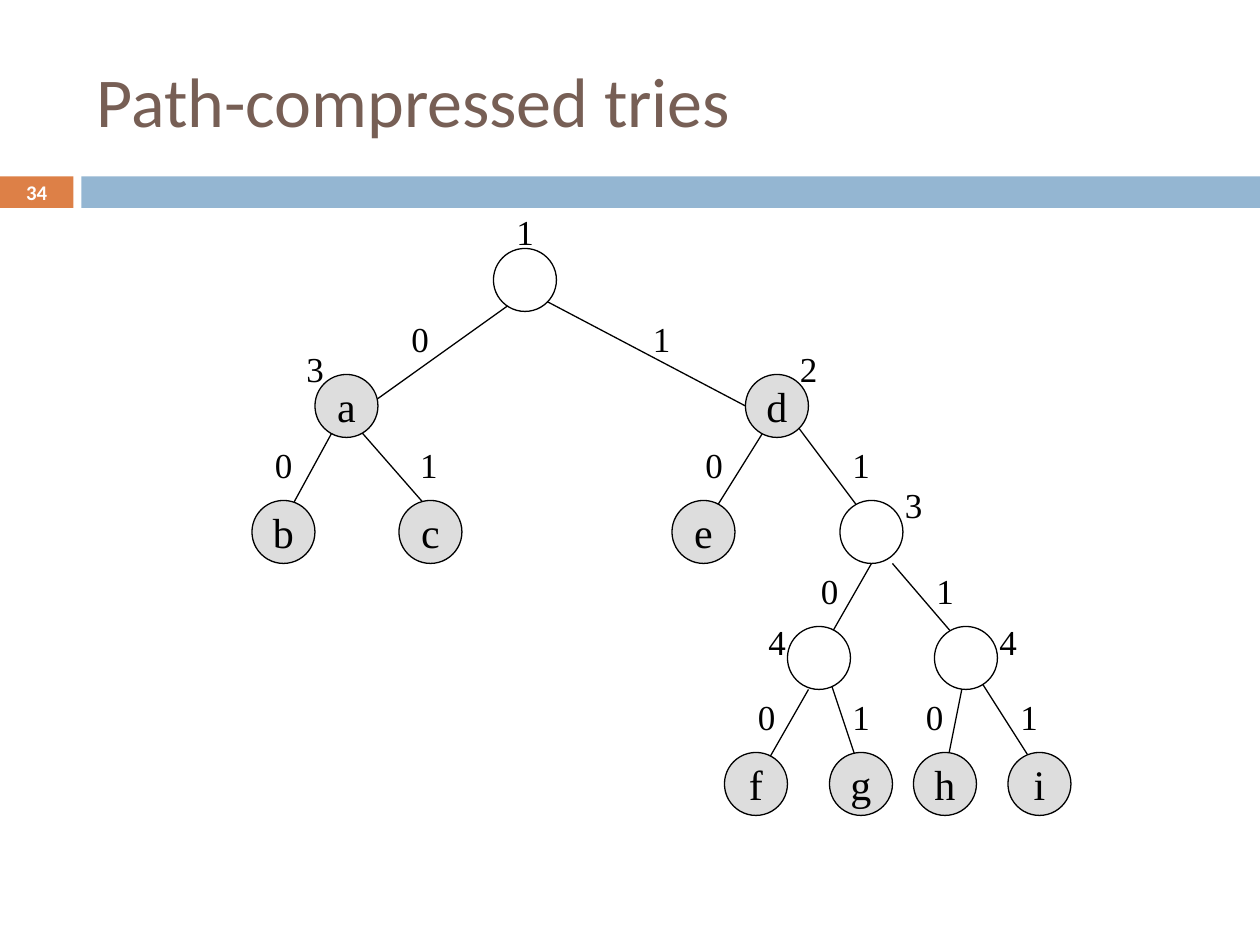
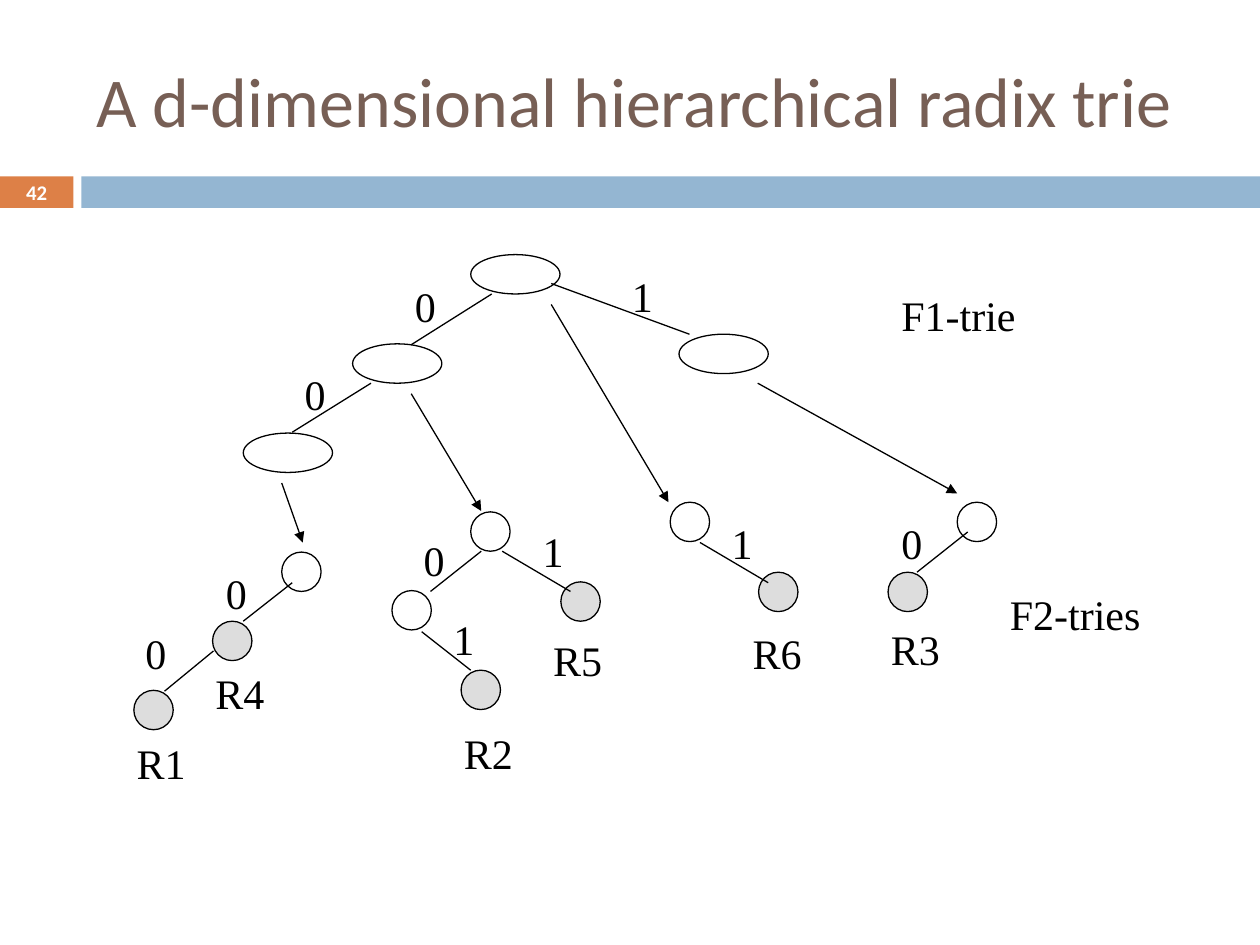
from pptx import Presentation
from pptx.dml.color import RGBColor
from pptx.enum.shapes import MSO_CONNECTOR, MSO_SHAPE
from pptx.enum.text import MSO_ANCHOR, PP_ALIGN
from pptx.oxml.ns import qn
from pptx.util import Pt
from lxml import etree

OVAL, RECT = MSO_SHAPE.OVAL, MSO_SHAPE.RECTANGLE
LINE = MSO_CONNECTOR.STRAIGHT
MID, TOP = MSO_ANCHOR.MIDDLE, MSO_ANCHOR.TOP
LEFT, MIDST = PP_ALIGN.LEFT, PP_ALIGN.CENTER
SANS, SERIF = "Calibri", "Times New Roman"
HUES = {"ink": "000000", "white": "FFFFFF", "grey": "DDDDDD",
        "brown": "775F55", "orange": "DD8047", "blue": "94B6D2"}
SIDE = 36
DOT = 22.5


def hue(name):
    return RGBColor.from_string(HUES[name])


def place(shape, left, top, width, height):
    shape.left, shape.top = Pt(left), Pt(top)
    shape.width, shape.height = Pt(width), Pt(height)


def write(shape, text, size=24, font=SERIF, color="ink", bold=False,
          align=LEFT, anchor=TOP, wrap=True, inset=None):
    frame = shape.text_frame
    frame.word_wrap = wrap
    frame.vertical_anchor = anchor
    if inset is not None:
        frame.margin_left = frame.margin_right = Pt(inset)
        frame.margin_top = frame.margin_bottom = Pt(inset)
    para = frame.paragraphs[0]
    para.alignment = align
    run = para.add_run()
    run.text = text
    run.font.size, run.font.name, run.font.bold = Pt(size), font, bold
    run.font.color.rgb = hue(color)


def label(slide, text, left, top, width, height, **style):
    box = slide.shapes.add_textbox(Pt(left), Pt(top), Pt(width), Pt(height))
    write(box, text, **style)


def form(slide, kind, left, top, width, height, fill=None, edge=None):
    shape = slide.shapes.add_shape(
        kind, Pt(left), Pt(top), Pt(width), Pt(height))
    shape.shadow.inherit = False
    if fill:
        shape.fill.solid()
        shape.fill.fore_color.rgb = hue(fill)
    else:
        shape.fill.background()
    if edge:
        shape.line.color.rgb = hue(edge)
        shape.line.width = Pt(0.75)
    else:
        shape.line.fill.background()
    return shape


def link(slide, x1, y1, x2, y2, arrow=False):
    line = slide.shapes.add_connector(LINE, Pt(x1), Pt(y1), Pt(x2), Pt(y2))
    line.line.color.rgb = hue("ink")
    line.line.width = Pt(0.75)
    props = line._element.spPr
    if arrow:
        etree.SubElement(props.find(qn("a:ln")), qn("a:tailEnd"),
                         type="triangle")
    etree.SubElement(props, qn("a:effectLst"))


def start(deck, title, number):
    slide = deck.slides.add_slide(deck.slide_layouts[5])
    head = slide.shapes.title
    place(head, 48, 18, 642, 78)
    write(head, title, size=40, font=SANS, color="brown", anchor=MID)
    form(slide, RECT, 0, 100.8, 42, 18, fill="orange")
    form(slide, RECT, 46.5, 100.8, 673.5, 18, fill="blue")
    label(slide, number, 0, 100, 42, 19.5, size=11.9, font=SANS,
          color="white", bold=True, align=MIDST, anchor=MID, inset=0)
    return slide


def paths(deck):
    slide = start(deck, "Path-compressed tries", "34")
    edges = [
        (198, 232, 162, 298), (204, 244, 246, 292), (552, 376, 594, 442),
        (552, 382, 540, 442), (474, 388, 492, 442), (462, 394, 438, 436),
        (510, 322, 546, 364), (498, 322, 474, 364), (456, 244, 492, 292),
        (438, 244, 408, 292), (312, 172, 426, 232), (294, 172, 210, 232)]
    for edge in edges:
        link(slide, *edge)

    levels = [
        [("", 282)],
        [("a", 180), ("d", 426)],
        [("b", 144), ("c", 228), ("e", 384), ("", 480)],
        [("", 450), ("", 534)],
        [("f", 414), ("g", 474), ("h", 522), ("i", 576)]]
    for depth, nodes in enumerate(levels):
        for name, left in nodes:
            node = form(slide, OVAL, left, 142 + 72 * depth, SIDE, SIDE,
                        fill="grey" if name else "white", edge="ink")
            if name:
                write(node, name, align=MIDST, anchor=MID, wrap=False)

    bits = [
        (178, [("0", 228), ("1", 366)]),
        (250, [("0", 150), ("1", 233), ("0", 396), ("1", 480)]),
        (322, [("0", 462), ("1", 528)]),
        (394, [("0", 426), ("1", 480), ("0", 522), ("1", 576)])]
    skips = [
        (117, [("1", 288)]),
        (195, [("3", 168), ("2", 450)]),
        (273, [("3", 510)]),
        (351, [("4", 432), ("4", 564)])]
    for top, row in bits + skips:
        for text, left in row:
            label(slide, text, left, top, 25, 31, size=20)


def radix(deck):
    slide = start(deck, "A d-dimensional hierarchical radix trie", "42")
    for left, top in [(269, 145.5), (201.5, 196.5), (388, 191), (139, 247.5)]:
        form(slide, OVAL, left, top, 51, DOT, edge="ink")

    dots = {
        None: [(161, 315.5), (269, 292.5), (224, 337.5), (383, 287),
               (547, 287)],
        "grey": [(121.5, 355), (76.5, 394.5), (320.5, 332.5), (263.5, 383),
                 (433.5, 327), (507.5, 327)]}
    for fill, spots in dots.items():
        for left, top in spots:
            form(slide, OVAL, left, top, DOT, DOT, fill=fill, edge="ink")

    edges = [
        (281, 168, 235, 197), (212, 219, 167, 247), (94, 395, 122, 372),
        (139, 355, 167, 333), (287, 315, 326, 338), (275, 315, 246, 338),
        (241, 361, 269, 383), (400, 310, 439, 333), (524, 327, 553, 304),
        (315, 162, 394, 191)]
    for edge in edges:
        link(slide, *edge)
    arrows = [
        (161, 276, 173, 310), (235, 225, 275, 292),
        (315, 174, 382, 287), (433, 219, 547, 282)]
    for edge in arrows:
        link(slide, *edge, arrow=True)

    groups = [
        (34, [("0", 230, 157), ("1", 354, 151), ("0", 167, 207),
              ("0", 122, 321), ("0", 76, 355), ("0", 508, 292),
              ("1", 411, 292), ("1", 303, 297), ("1", 252, 347),
              ("0", 235, 302)]),
        (119, [("F1-trie", 508, 162), ("F2-tries", 570, 333)]),
        (63, [("R1", 71, 418), ("R4", 116, 378), ("R2", 258, 412),
              ("R5", 309, 359), ("R6", 423, 355), ("R3", 502, 353)])]
    for width, words in groups:
        for text, left, top in words:
            label(slide, text, left, top, width, 36)


def main():
    deck = Presentation()
    deck.slide_width, deck.slide_height = Pt(720), Pt(540)
    paths(deck)
    radix(deck)
    deck.save("out.pptx")


main()
